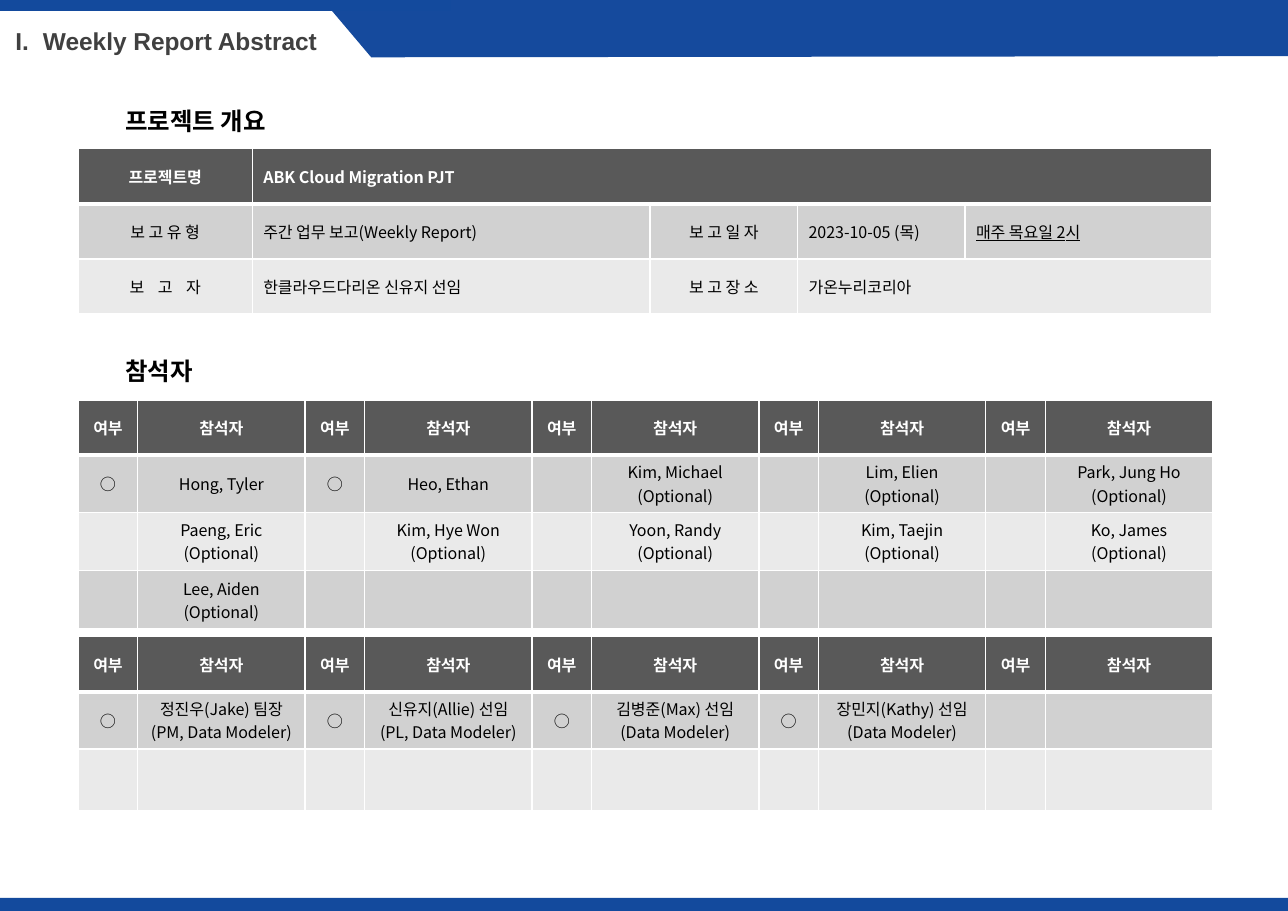
import pptx
import pptx.dml.color
import pptx.enum.shapes
import pptx.enum.text
import pptx.util
from lxml import etree
from pptx.util import Inches

COLORS = {
    "band": "134A9D", "slant": "154A9D", "title": "404040", "text": "000000",
    "white": "FFFFFF", "header": "595959", "odd": "D1D1D1", "even": "EAEAEA",
}
KOREAN = "Noto Sans CJK KR"
A = "http://schemas.openxmlformats.org/drawingml/2006/main"
CENTER = pptx.enum.text.PP_ALIGN.CENTER
LEFT = pptx.enum.text.PP_ALIGN.LEFT
MIDDLE = pptx.enum.text.MSO_ANCHOR.MIDDLE


def rgb(name):
    return pptx.dml.color.RGBColor.from_string(COLORS[name])


def write(tf, text, font=KOREAN, size=10.5, color="text", bold=False,
          underline=False, align=LEFT, spacing=None):
    for i, line in enumerate(text.split("\n")):
        p = tf.paragraphs[0] if i == 0 else tf.add_paragraph()
        p.alignment = align
        r = p.add_run()
        r.text = line
        r.font.name = font
        r.font.size = pptx.util.Pt(size)
        r.font.bold = bold
        r.font.underline = underline
        r.font.color.rgb = rgb(color)
        rPr = r._r.get_or_add_rPr()
        etree.SubElement(rPr, f"{{{A}}}ea", typeface=font)
        if spacing:
            rPr.set("spc", str(spacing))


class ReportSlide:
    def __init__(self, prs):
        self.s = prs.slides.add_slide(prs.slide_layouts[5])

    def paint(self, sp, color):
        sp.shadow.inherit = False
        sp.fill.solid()
        sp.fill.fore_color.rgb = rgb(color)
        sp.line.fill.background()

    def band(self, x, y, w, h):
        kind = pptx.enum.shapes.MSO_SHAPE.RECTANGLE
        sp = self.s.shapes.add_shape(kind, Inches(x), Inches(y), Inches(w), Inches(h))
        self.paint(sp, "band")

    def outline(self, points, color):
        points = [(Inches(x), Inches(y)) for x, y in points]
        builder = self.s.shapes.build_freeform(*points[0])
        builder.add_line_segments(points[1:], close=True)
        self.paint(builder.convert_to_shape(), color)

    def title(self, text, x, y, w, h):
        sp = self.s.shapes.title
        sp.left, sp.top, sp.width, sp.height = map(Inches, (x, y, w, h))
        tf = sp.text_frame
        tf.margin_left = tf.margin_right = Inches(0.11)
        tf.margin_top = tf.margin_bottom = Inches(0.06)
        tf.vertical_anchor = MIDDLE
        tf.auto_size = pptx.enum.text.MSO_AUTO_SIZE.NONE
        write(tf, text, font="Arial", size=16, color="title", bold=True)
        pPr = tf.paragraphs[0]._p.get_or_add_pPr()
        pPr.set("marL", str(Inches(0.25)))
        pPr.set("indent", str(-Inches(0.25)))

    def heading(self, text, y):
        sp = self.s.shapes.add_textbox(Inches(1.04), Inches(y), Inches(7.24), Inches(0.37))
        tf = sp.text_frame
        tf.word_wrap = True
        tf.auto_size = pptx.enum.text.MSO_AUTO_SIZE.SHAPE_TO_FIT_TEXT
        write(tf, text, size=16, bold=True)

    def borders(self, cell, row):
        tcPr = cell._tc.get_or_add_tcPr()
        thick = {"T": row == 1, "B": row == 0}
        for side in "LRTB":
            width = pptx.util.Pt(3 if thick.get(side) else 1)
            ln = etree.SubElement(tcPr, f"{{{A}}}ln{side}", w=str(width))
            fill = etree.SubElement(ln, f"{{{A}}}solidFill")
            etree.SubElement(fill, f"{{{A}}}srgbClr", val=COLORS["white"])

    def table(self, y, cols, heights, rows, left_cols=(), merges=(), formats={}):
        frame = self.s.shapes.add_table(
            len(rows), len(cols), Inches(0.71), Inches(y),
            Inches(sum(cols)), Inches(sum(heights)))
        tbl = frame.table
        tbl.first_row = tbl.horz_banding = False
        for column, width in zip(tbl.columns, cols):
            column.width = Inches(width)
        for row, height in zip(tbl.rows, heights):
            row.height = Inches(height)
        for i, row in enumerate(rows):
            fill = "header" if i == 0 else "odd" if i % 2 else "even"
            for j in range(len(cols)):
                cell = tbl.cell(i, j)
                self.borders(cell, i)
                cell.fill.solid()
                cell.fill.fore_color.rgb = rgb(fill)
                cell.vertical_anchor = MIDDLE
                if j not in left_cols:
                    cell.margin_left = cell.margin_right = Inches(0.07)
                    cell.margin_top = cell.margin_bottom = 0
                if j < len(row) and row[j]:
                    write(cell.text_frame, row[j], bold=i == 0,
                          color="text" if i else "white",
                          align=LEFT if j in left_cols else CENTER,
                          **formats.get((i, j), {}))
        for i, first, last in merges:
            tbl.cell(i, first).merge(tbl.cell(i, last))


def main():
    prs = pptx.Presentation()
    prs.slide_width, prs.slide_height = Inches(11.69), Inches(8.27)
    report = ReportSlide(prs)

    report.band(0, 8.15, 11.69, 0.12)
    report.outline([(2.93, 0), (11.69, 0), (11.69, 0.51), (3.37, 0.52)], "slant")
    report.band(0, 0, 4.09, 0.1)
    report.title("I.\tWeekly Report Abstract", 0.03, 0.18, 3.14, 0.38)

    report.heading("프로젝트 개요", 0.91)
    report.table(
        1.35, [1.58, 3.61, 1.34, 1.52, 2.24], [0.5] * 3,
        [["프로젝트명", "ABK Cloud Migration PJT"],
         ["보 고 유 형", "주간 업무 보고(Weekly Report)", "보 고 일 자",
          "2023-10-05 (목)", "매주 목요일 2시"],
         ["보 고 자", "한클라우드다리온 신유지 선임", "보 고 장 소", "가온누리코리아"]],
        left_cols=(1, 3, 4), merges=[(0, 1, 4), (2, 3, 4)],
        formats={(1, 4): {"underline": True}, (2, 0): {"spacing": 330}})

    report.heading("참석자", 3.18)
    pair_cols = [0.54, 1.52] * 5
    pair_header = ["여부", "참석자"] * 5

    def optional(*names):
        return [t for name in names for t in ("", f"{name}\n(Optional)")]

    def present(*names):
        return [t for name in names for t in ("○", name)]

    report.table(
        3.63, pair_cols, [0.5, 0.52, 0.53, 0.53],
        [pair_header,
         present("Hong, Tyler", "Heo, Ethan")
         + optional("Kim, Michael", "Lim, Elien", "Park, Jung Ho"),
         optional("Paeng, Eric", "Kim, Hye Won", "Yoon, Randy", "Kim, Taejin", "Ko, James"),
         optional("Lee, Aiden")])
    report.table(
        5.78, pair_cols, [0.5, 0.52, 0.56],
        [pair_header,
         present("정진우(Jake) 팀장\n(PM, Data Modeler)", "신유지(Allie) 선임\n(PL, Data Modeler)",
                 "김병준(Max) 선임\n(Data Modeler)", "장민지(Kathy) 선임\n(Data Modeler)"),
         []])

    prs.save("out.pptx")


if __name__ == "__main__":
    main()
